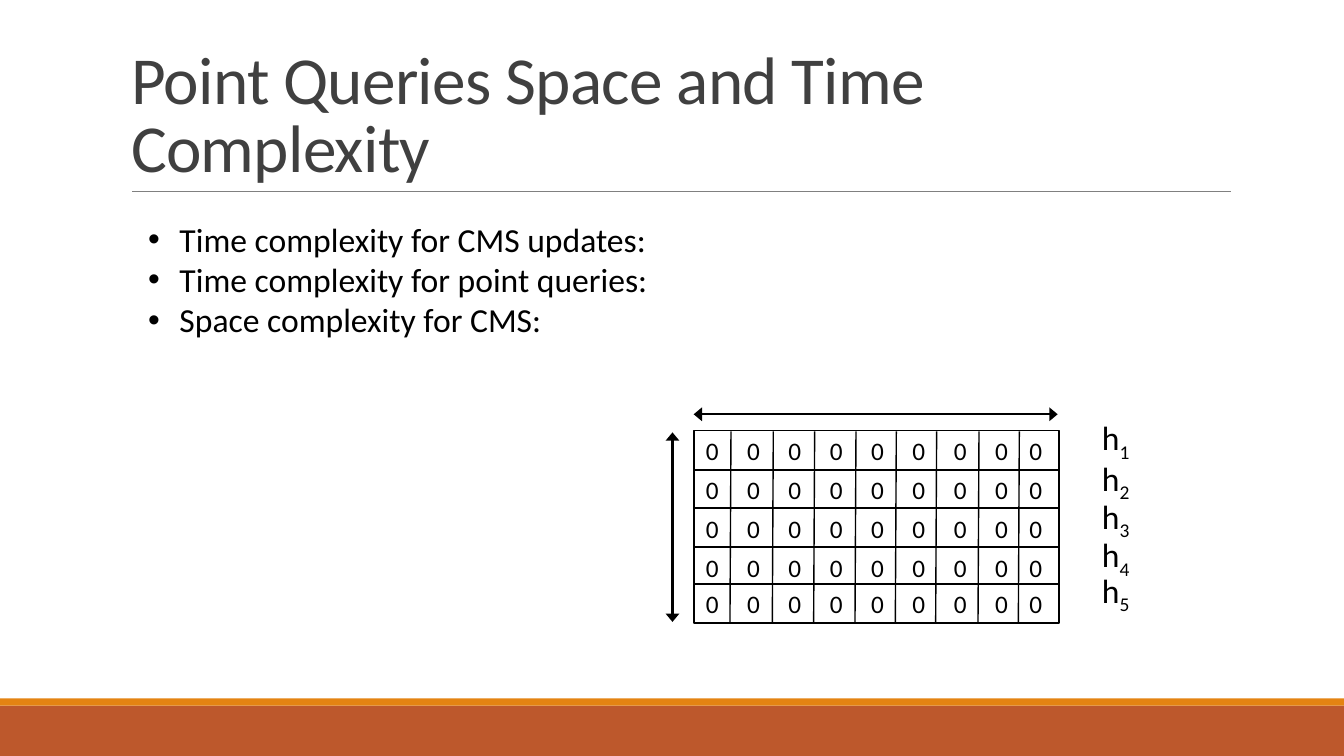
from lxml import etree
from pptx import Presentation
from pptx.dml.color import RGBColor
from pptx.enum.shapes import MSO_CONNECTOR, MSO_SHAPE
from pptx.enum.text import MSO_ANCHOR, MSO_AUTO_SIZE, PP_ALIGN
from pptx.oxml import parse_xml
from pptx.oxml.ns import nsdecls, qn
from pptx.util import Inches, Pt

STRAIGHT = MSO_CONNECTOR.STRAIGHT
RECTANGLE = MSO_SHAPE.RECTANGLE
BOTTOM, TOP = MSO_ANCHOR.BOTTOM, MSO_ANCHOR.TOP
LEFT = PP_ALIGN.LEFT
NO_FIT = MSO_AUTO_SIZE.NONE

FONT = "Calibri"
COLORS = {
    "black": "000000",
    "white": "FFFFFF",
    "title": "404040",
    "rule": "808080",
    "rust": "BD582C",
    "orange": "E48312",
}
GRID_LEFT, GRID_WIDTH = 6.88, 3.62
ROW_SPANS = [(4.27, 0.4), (4.66, 0.39), (5.04, 0.39), (5.43, 0.38), (5.79, 0.39)]
LABEL_TOPS = [4.09, 4.49, 4.87, 5.25, 5.6]
DIVIDERS = [7.25, 7.67, 8.08, 8.49, 8.89, 9.29, 9.71, 10.11]
COUNTER_TABS = [0.41 * step for step in range(1, 8)] + [3.21]


def color(name):
    return RGBColor.from_string(COLORS[name])


class SketchSlide:
    """Hold the style and the current slide, and draw each kind of element."""

    def __init__(self, deck):
        self.slide = deck.slides.add_slide(deck.slide_layouts[1])

    def place(self, shape, left, top, width, height):
        shape.left, shape.top = Inches(left), Inches(top)
        shape.width, shape.height = Inches(width), Inches(height)

    def style(self, font, size, shade="black"):
        font.name = FONT
        font.size = Pt(size)
        font.color.rgb = color(shade)

    def title(self, text, *bounds):
        box = self.slide.shapes.title
        self.place(box, *bounds)
        frame = box.text_frame
        frame.text = text
        frame.auto_size = NO_FIT
        frame.vertical_anchor = BOTTOM
        para = frame.paragraphs[0]
        para.alignment = LEFT
        para.line_spacing = 0.85
        span = para.runs[0]
        self.style(span.font, 48, "title")
        span._r.get_or_add_rPr().set("spc", "-50")

    def bullets(self, items, *bounds):
        box = self.slide.placeholders[1]
        self.place(box, *bounds)
        frame = box.text_frame
        frame.text = "\n".join(items)
        frame.auto_size = NO_FIT
        frame.vertical_anchor = TOP
        for para in frame.paragraphs:
            properties = para._p.get_or_add_pPr()
            properties.set("marL", str(Inches(0.31)))
            properties.set("indent", str(-Inches(0.31)))
            properties.append(parse_xml(f'<a:buFont {nsdecls("a")} typeface="Arial"/>'))
            properties.append(parse_xml(f'<a:buChar {nsdecls("a")} char="•"/>'))
            para.space_before = Pt(0)
            self.style(para.runs[0].font, 24)

    def rectangle(self, fill, *bounds):
        box = self.slide.shapes.add_shape(RECTANGLE, *map(Inches, bounds))
        box.shadow.inherit = False
        box.fill.solid()
        box.fill.fore_color.rgb = color(fill)
        box.line.fill.background()
        return box

    def counter_row(self, top, height):
        box = self.rectangle("white", GRID_LEFT, top, GRID_WIDTH, height)
        box.line.color.rgb = color("black")
        box.line.width = Pt(1.25)
        frame = box.text_frame
        frame.vertical_anchor = TOP
        frame.margin_left, frame.margin_top = Inches(0.12), Inches(0.05)
        frame.margin_right = frame.margin_bottom = Inches(0)
        para = frame.paragraphs[0]
        para.alignment = LEFT
        tabs = etree.SubElement(para._p.get_or_add_pPr(), qn("a:tabLst"))
        for stop in COUNTER_TABS:
            etree.SubElement(tabs, qn("a:tab"), pos=str(Inches(stop)), algn="l")
        span = para.add_run()
        span.text = "\t".join(["0"] * (len(COUNTER_TABS) + 1))
        self.style(span.font, 18)

    def line(self, ends, shade, width, arrows=False):
        line = self.slide.shapes.add_connector(STRAIGHT, *map(Inches, ends))
        line.line.color.rgb = color(shade)
        line.line.width = Pt(width)
        if arrows:
            for end in ("a:headEnd", "a:tailEnd"):
                etree.SubElement(line.line._ln, qn(end), type="triangle", w="lg")
        etree.SubElement(line._element.spPr, qn("a:effectLst"))

    def hash_label(self, number, *bounds):
        box = self.slide.shapes.add_textbox(*map(Inches, bounds))
        para = box.text_frame.paragraphs[0]
        for text in ("h", str(number)):
            span = para.add_run()
            span.text = text
            self.style(span.font, 24)
        span._r.get_or_add_rPr().set("baseline", "-25000")


def main():
    deck = Presentation()
    deck.slide_width, deck.slide_height = Inches(13.33), Inches(7.5)
    page = SketchSlide(deck)
    page.rectangle("rust", 0, 7, 13.33, 0.5)
    page.rectangle("orange", 0, 6.93, 13.33, 0.07)
    page.line((1.31, 1.9, 12.21, 1.9), "rule", 0.5)
    page.title("Point Queries Space and Time Complexity", 1.2, 0.31, 11, 1.59)
    page.bullets([
        "Time complexity for CMS updates:",
        "Time complexity for point queries:",
        "Space complexity for CMS:",
    ], 1.37, 2.12, 5.26, 1.31)
    for top, height in ROW_SPANS:
        page.counter_row(top, height)
    for divider in DIVIDERS:
        page.line((divider, 4.28, divider - 0.01, 6.18), "black", 1)
    page.line((GRID_LEFT, 4.11, 10.49, 4.11), "black", 1.5, arrows=True)
    page.line((6.67, 6.17, 6.67, 4.29), "black", 1.5, arrows=True)
    for number, top in enumerate(LABEL_TOPS, 1):
        page.hash_label(number, 10.83, top, 0.49, 0.5)
    deck.save("out.pptx")


if __name__ == "__main__":
    main()
